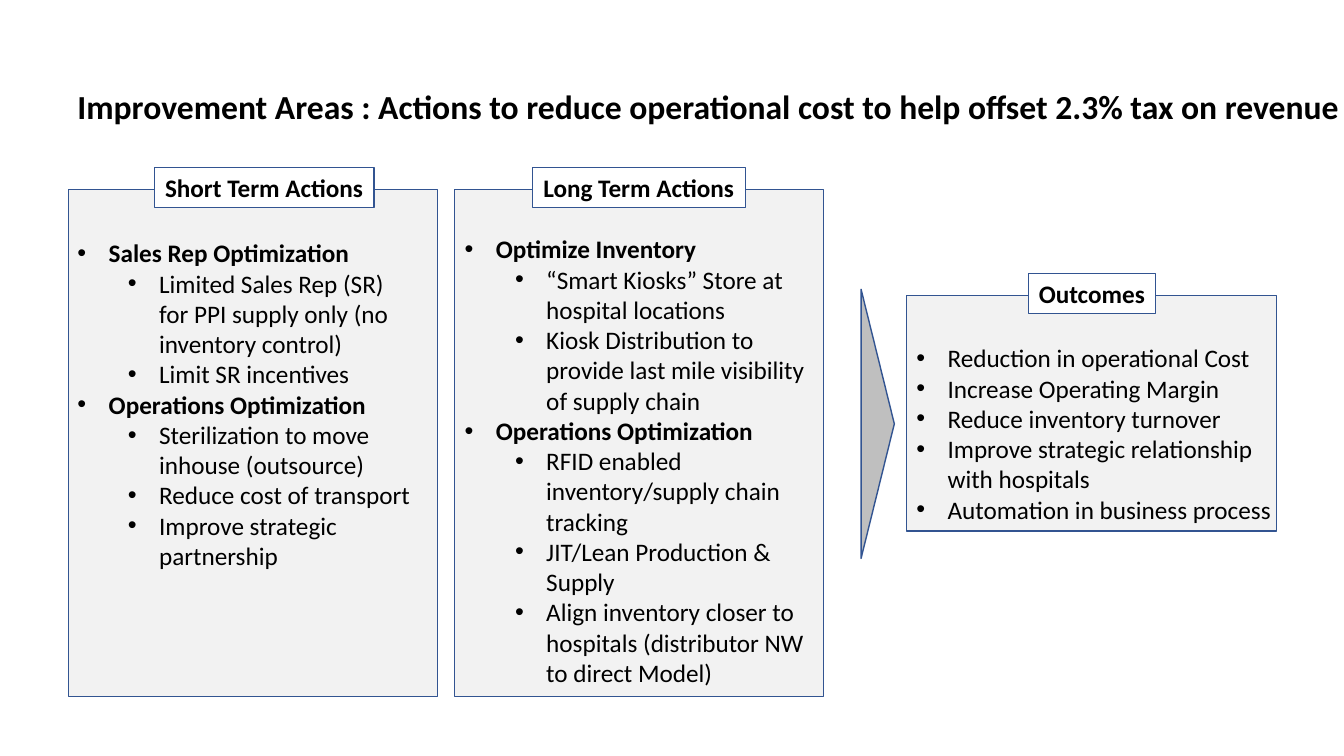
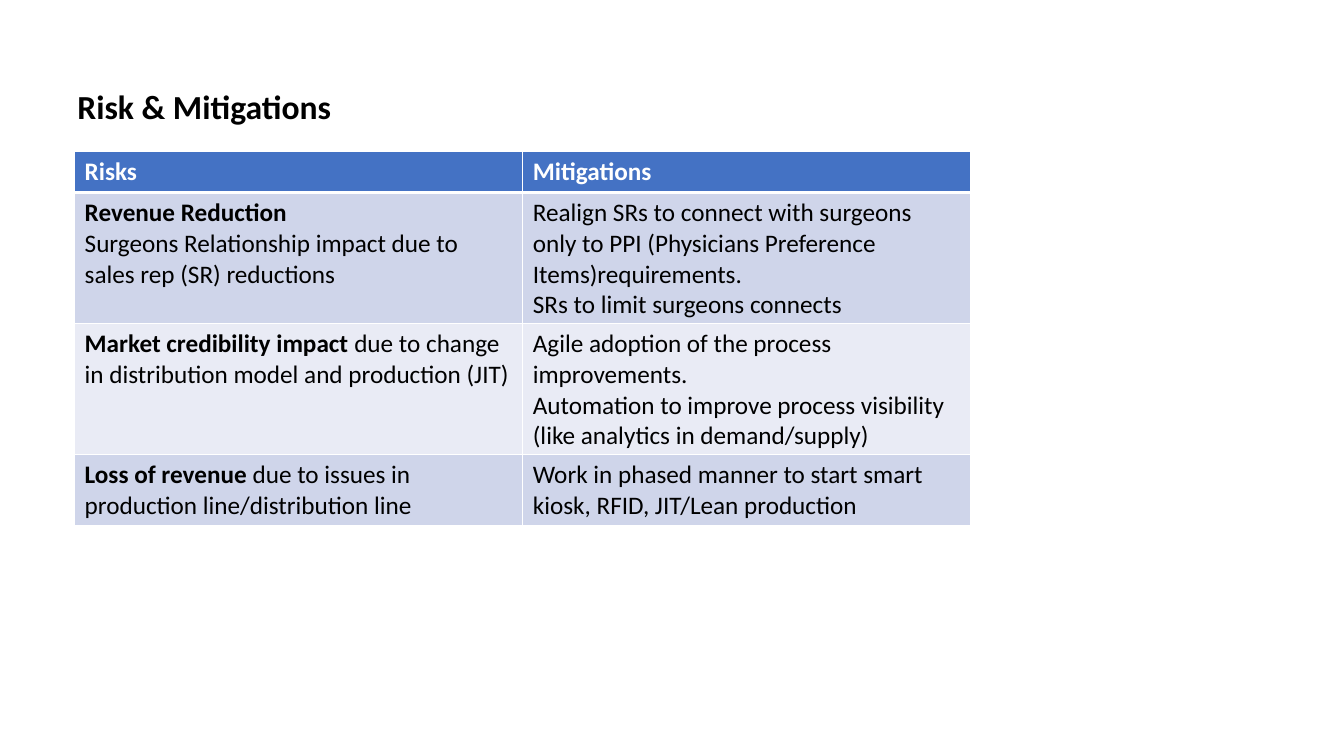
"""Build the improvement actions and risk mitigation slides."""
from dataclasses import dataclass

from lxml.etree import SubElement
from pptx import Presentation
from pptx.dml.color import RGBColor
from pptx.enum.shapes import MSO_SHAPE
from pptx.enum.text import MSO_ANCHOR, MSO_AUTO_SIZE, PP_ALIGN
from pptx.oxml.ns import qn
from pptx.util import Inches, Pt


@dataclass(frozen=True)
class Theme:
    font: str = "Calibri"
    title: int = 24
    body: int = 18
    ink: str = "000000"
    white: str = "FFFFFF"
    line: str = "325491"
    panel: str = "F2F2F2"
    arrow: str = "BFBFBF"
    head: str = "4472C4"
    bands: tuple = ("CFD5EA", "E9EBF5")


THEME = Theme()

TITLES = [
    ("Improvement Areas : Actions to reduce operational cost to help offset 2.3% tax on revenue", 13),
    ("Risk & Mitigations", 2.75),
]

PANELS = [
    {
        "label": "Short Term Actions",
        "box": (0.68, 1.88, 3.66, 5.03),
        "tag": (1.53, 2.18),
        "text": (0.67, 2.31, 3.58, 3.74),
        "items": [
            ("Sales Rep Optimization", [
                "Limited Sales Rep (SR) for PPI supply only (no inventory control)",
                "Limit SR incentives",
            ]),
            ("Operations Optimization", [
                "Sterilization to move inhouse (outsource)",
                "Reduce cost of transport",
                "Improve strategic partnership",
            ]),
        ],
    },
    {
        "label": "Long Term Actions",
        "box": (4.51, 1.88, 3.66, 5.03),
        "tag": (5.28, 2.11),
        "text": (4.51, 2.27, 3.64, 4.64),
        "items": [
            ("Optimize Inventory", [
                "“Smart Kiosks” Store at hospital locations",
                "Kiosk Distribution to provide last mile visibility of supply chain",
            ]),
            ("Operations Optimization", [
                "RFID enabled inventory/supply chain tracking",
                "JIT/Lean Production & Supply",
                "Align inventory closer to hospitals (distributor NW to direct Model)",
            ]),
        ],
    },
    {
        "label": "Outcomes",
        "box": (8.99, 2.93, 3.67, 2.34),
        "tag": (10.2, 1.26),
        "text": (8.99, 3.35, 3.8, 1.92),
        "items": [
            ("Reduction in operational Cost", []),
            ("Increase Operating Margin", []),
            ("Reduce inventory turnover", []),
            ("Improve strategic relationship with hospitals", []),
            ("Automation in business process", []),
        ],
    },
]

ARROW = (7.37, 4.04, 2.67, 0.33)

HEADS = ["Risks", "Mitigations"]
RISKS = [
    (
        [("Revenue Reduction", ""),
         ("", "Surgeons Relationship impact due to sales rep (SR) reductions")],
        [("", "Realign SRs to connect with surgeons only to PPI (Physicians Preference Items)requirements."),
         ("", "SRs to limit surgeons connects")],
    ),
    (
        [("Market credibility impact ", "due to change in distribution model and production (JIT)")],
        [("", "Agile adoption of the process improvements."),
         ("", "Automation to improve process visibility (like analytics in demand/supply)")],
    ),
    (
        [("Loss of revenue ", "due to issues in production line/distribution line")],
        [("", "Work in phased manner to start smart kiosk, RFID, JIT/Lean production")],
    ),
]
GRID = (0.74, 1.5, 8.89, 3.71)
ROWS = [0.41, 1.3, 1.3, 0.7]


def tint(hue):
    return RGBColor.from_string(hue)


def place(box):
    return [Inches(side) for side in box]


def write(frame, paras, size=THEME.body, color=THEME.ink, align=PP_ALIGN.LEFT, levels=None):
    """Fill a frame with (bold, plain) paragraphs, bulleted when levels are given."""
    for row, parts in enumerate(paras):
        para = frame.paragraphs[0] if row == 0 else frame.add_paragraph()
        para.alignment = align
        for part, bold in zip(parts, (True, False)):
            if part:
                run = para.add_run()
                run.text = part
                run.font.name, run.font.size, run.font.bold = THEME.font, Pt(size), bold
                run.font.color.rgb = tint(color)
        if levels:
            para.level = levels[row]
            props = para._p.get_or_add_pPr()
            props.set("marL", str(Inches(0.31 + 0.5 * levels[row])))
            props.set("indent", str(Inches(-0.31)))
            SubElement(props, qn("a:buFont"), typeface="Arial")
            SubElement(props, qn("a:buChar"), char="•")


def add_box(slide, box, fill, width=1, kind=MSO_SHAPE.RECTANGLE):
    shape = slide.shapes.add_shape(kind, *place(box))
    shape.shadow.inherit = False
    shape.fill.solid()
    shape.fill.fore_color.rgb = tint(fill)
    shape.line.color.rgb = tint(THEME.line)
    shape.line.width = Pt(width)
    return shape


def add_text(slide, box, paras, wrap=True, **style):
    frame = slide.shapes.add_textbox(*place(box)).text_frame
    frame.word_wrap = wrap
    frame.auto_size = MSO_AUTO_SIZE.SHAPE_TO_FIT_TEXT
    write(frame, paras, **style)


def add_slide(deck, title, width):
    slide = deck.slides.add_slide(deck.slide_layouts[6])
    add_text(slide, (0.67, 0.8, width, 0.5), [(title, "")], wrap=False, size=THEME.title)
    return slide


def add_panel(slide, panel):
    add_box(slide, panel["box"], THEME.panel)
    left, width = panel["tag"]
    top = panel["box"][1] - 0.22
    tag = add_box(slide, (left, top, width, 0.4), THEME.white, 0.75).text_frame
    tag.word_wrap = False
    tag.vertical_anchor = MSO_ANCHOR.MIDDLE
    write(tag, [(panel["label"], "")], align=PP_ALIGN.CENTER)
    paras, levels = [], []
    for head, subs in panel["items"]:
        paras += [(head, "") if subs else ("", head)] + [("", sub) for sub in subs]
        levels += [0] + [1] * len(subs)
    add_text(slide, panel["text"], paras, levels=levels)


def add_edges(cell, row):
    props = cell._tc.get_or_add_tcPr()
    widths = {"L": 1, "R": 1, "T": 3 if row == 1 else 1, "B": 3 if row == 0 else 1}
    for side, width in widths.items():
        edge = SubElement(props, qn(f"a:ln{side}"), w=str(Pt(width)))
        fill = SubElement(edge, qn("a:solidFill"))
        SubElement(fill, qn("a:srgbClr"), val=THEME.white)


def add_grid(slide):
    cells = [[[(head, "")] for head in HEADS], *RISKS]
    table = slide.shapes.add_table(len(cells), len(HEADS), *place(GRID)).table
    for row, line in enumerate(cells):
        table.rows[row].height = Inches(ROWS[row])
        for col, paras in enumerate(line):
            cell = table.cell(row, col)
            add_edges(cell, row)
            cell.fill.solid()
            hue = THEME.bands[(row - 1) % 2] if row else THEME.head
            cell.fill.fore_color.rgb = tint(hue)
            write(cell.text_frame, paras, color=THEME.ink if row else THEME.white)


def main():
    deck = Presentation()
    deck.slide_width, deck.slide_height = Inches(13.33), Inches(7.5)
    plan, risk = [add_slide(deck, *title) for title in TITLES]
    for panel in PANELS:
        add_panel(plan, panel)
    add_box(plan, ARROW, THEME.arrow, kind=MSO_SHAPE.ISOSCELES_TRIANGLE).rotation = 90
    add_grid(risk)
    deck.save("out.pptx")


if __name__ == "__main__":
    main()
